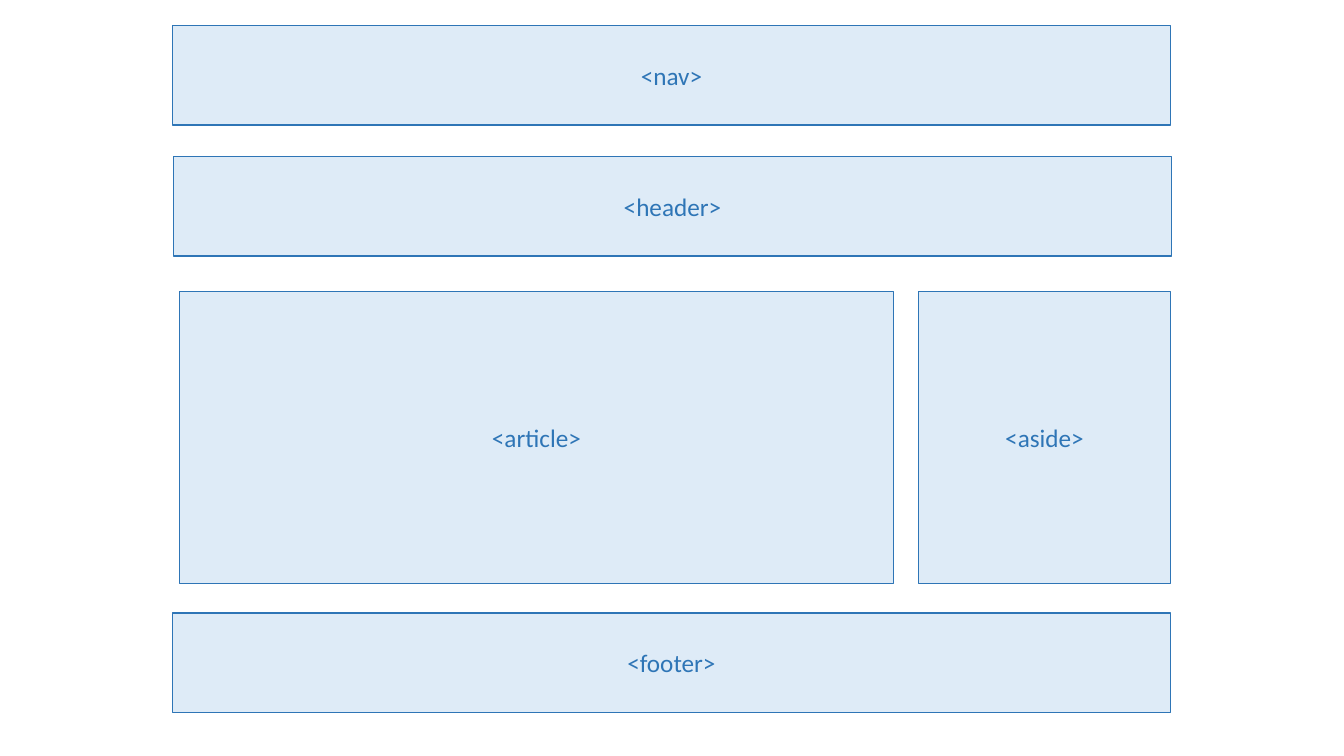
from pptx import Presentation
from pptx.dml.color import RGBColor
from pptx.enum.shapes import MSO_SHAPE
from pptx.enum.text import MSO_ANCHOR, PP_ALIGN
from pptx.util import Inches, Pt

RECTANGLE = MSO_SHAPE.RECTANGLE
MIDDLE = MSO_ANCHOR.MIDDLE
CENTER = PP_ALIGN.CENTER

COLORS = {"fill": "DEEBF7", "accent": "2E75B6"}
FONT = "Calibri"
BAND_HEIGHT = 0.99


def color(name):
    return RGBColor.from_string(COLORS[name])


def add_region(shapes, tag, left, top, width, height):
    """Draw one page region labelled with its HTML tag."""
    box = shapes.add_shape(
        RECTANGLE, Inches(left), Inches(top), Inches(width), Inches(height)
    )
    box.shadow.inherit = False
    box.fill.solid()
    box.fill.fore_color.rgb = color("fill")
    box.line.color.rgb = color("accent")
    box.line.width = Pt(1)

    # Centred label
    frame = box.text_frame
    frame.word_wrap = True
    frame.vertical_anchor = MIDDLE
    para = frame.paragraphs[0]
    para.alignment = CENTER
    span = para.add_run()
    span.text = tag
    span.font.name = FONT
    span.font.size = Pt(18)
    span.font.color.rgb = color("accent")


def add_bands(shapes, left, top, width):
    """Full-width regions, placed from the top left of the layout."""
    for tag, shift, drop in (
        ("<nav>", 0, 0),
        ("<header>", 0.01, 1.3),
        ("<footer>", 0, 5.83),
    ):
        add_region(shapes, tag, left + shift, top + drop, width, BAND_HEIGHT)


def add_content(shapes, left, top, width, height):
    """Article on the left, aside flush with the right edge."""
    aside_width = 2.5
    gap = 0.25
    article_width = width - aside_width - gap
    aside_left = left + width - aside_width
    add_region(shapes, "<aside>", aside_left, top, aside_width, height)
    add_region(shapes, "<article>", left, top, article_width, height)


def main():
    deck = Presentation()
    deck.slide_width = Inches(13.33)
    deck.slide_height = Inches(7.5)
    page = deck.slides.add_slide(deck.slide_layouts[6])

    # The regions share one group
    layout = page.shapes.add_group_shape()
    add_bands(layout.shapes, 1.71, 0.25, 9.9)
    add_content(layout.shapes, 1.78, 2.89, 9.83, 2.9)

    deck.save("out.pptx")


if __name__ == "__main__":
    main()
